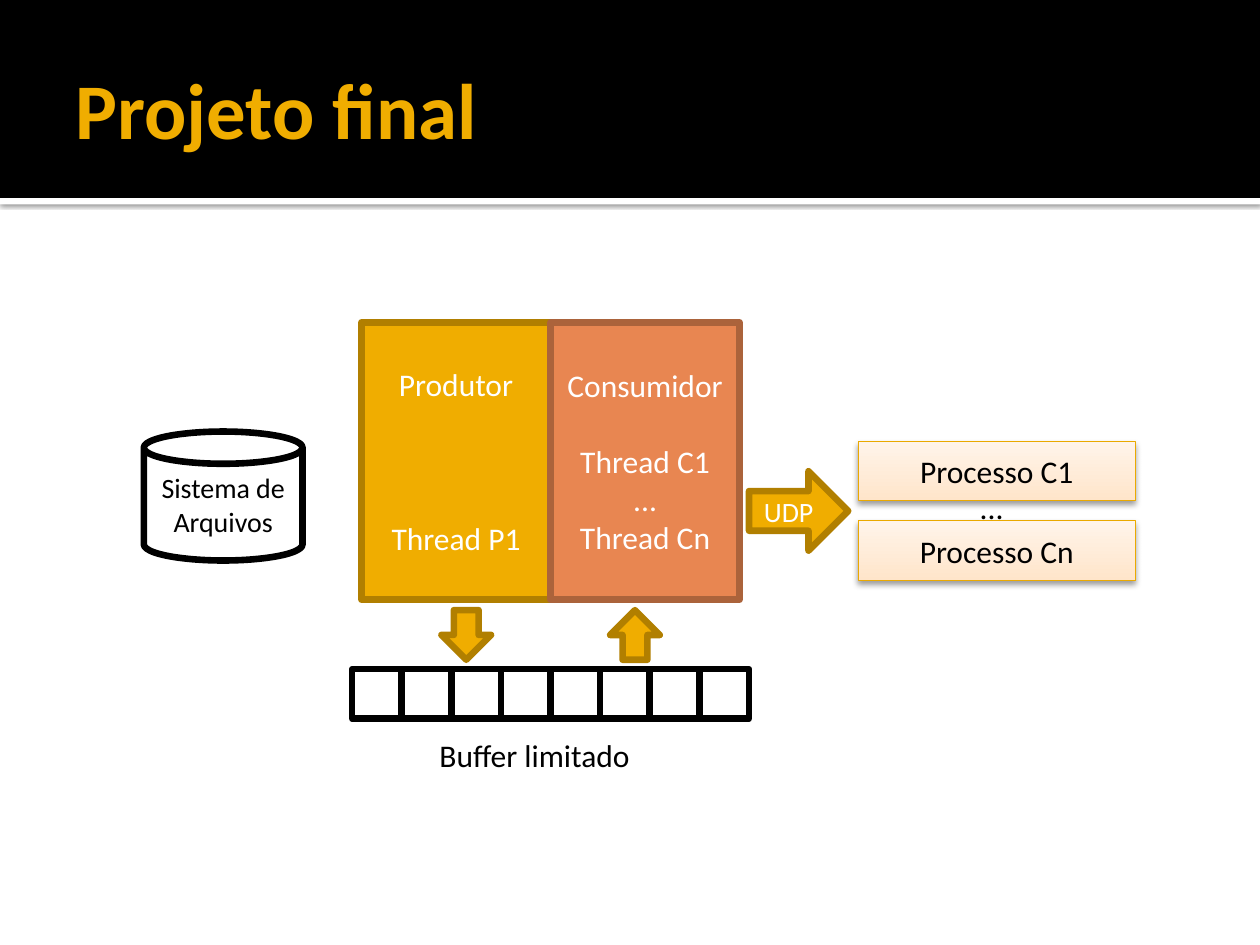
from lxml import etree
from pptx import Presentation
from pptx import util as u
from pptx.dml.color import RGBColor
from pptx.enum import shapes, text
from pptx.oxml.ns import qn

COLOURS = {
    "black": "000000", "white": "FFFFFF",
    "gold": "F0AD00", "gold edge": "B17F00",
    "orange": "E88651", "orange edge": "AB633B",
    "cream dark": "FFE5CA", "cream light": "FFF4EA", "cream edge": "EAA900",
}
KIND = shapes.MSO_SHAPE
ALIGN = text.PP_ALIGN
LINE_HEIGHT = 22  # points, one line of 18 pt text


def colour(name):
    return RGBColor.from_string(COLOURS[name])


class Diagram:
    font = "Calibri"
    edge = 3.77

    def __init__(self, deck):
        self.page = deck.slides.add_slide(deck.slide_layouts[5])

    def set_text(self, item, lines, size, ink, align, bold=False):
        """Fill item with lines, each a (wording, points of space before) pair."""
        frame = item.text_frame
        frame.margin_left = frame.margin_right = u.Cm(0.25)
        frame.margin_top = frame.margin_bottom = u.Cm(0.13)
        for number, (wording, gap) in enumerate(lines):
            para = frame.add_paragraph() if number else frame.paragraphs[0]
            para.text = wording
            para.alignment = align
            if gap:
                para.space_before = u.Pt(gap)
            para.font.name = self.font
            para.font.size = u.Pt(size)
            para.font.bold = bold
            para.font.color.rgb = colour(ink)
        return frame

    def title(self, wording, left, top, width, height):
        item = self.page.shapes.title
        item.left, item.top = u.Cm(left), u.Cm(top)
        item.width, item.height = u.Cm(width), u.Cm(height)
        frame = self.set_text(item, [(wording, 0)], 45, "gold", ALIGN.LEFT, bold=True)
        frame.margin_right = u.Cm(0.13)
        frame.vertical_anchor = text.MSO_ANCHOR.MIDDLE
        return item

    def shape(self, kind, left, top, width, height, fill, line=None,
              lines=(), size=18, ink="white"):
        item = self.page.shapes.add_shape(
            kind, u.Cm(left), u.Cm(top), u.Cm(width), u.Cm(height))
        item.shadow.inherit = False
        item.fill.solid()
        item.fill.fore_color.rgb = colour(fill)
        if line:
            item.line.color.rgb = colour(line)
            item.line.width = u.Pt(self.edge)
        else:
            item.line.fill.background()
        if lines:
            frame = self.set_text(item, lines, size, ink, ALIGN.CENTER)
            frame.word_wrap = True
            frame.vertical_anchor = text.MSO_ANCHOR.MIDDLE
        return item

    def process(self, wording, left, top, width, height):
        item = self.shape(KIND.RECTANGLE, left, top, width, height, "cream light",
                          "cream edge", [(wording, 0)], ink="black")
        item.line.width = u.Pt(0.5)
        item.fill.gradient()
        item.fill.gradient_angle = 90
        for stop, name in zip(item.fill.gradient_stops, ("cream dark", "cream light")):
            stop.color.rgb = colour(name)
        self.drop_shadow(item, 38, 3.5, 2)

    def drop_shadow(self, item, opacity, blur, distance):
        """Add a black shadow below item; blur and distance are in points."""
        effects = item.element.spPr.find(qn("a:effectLst"))
        shadow = etree.SubElement(
            effects, qn("a:outerShdw"), blurRad=str(u.Pt(blur)),
            dist=str(u.Pt(distance)), dir="5400000", rotWithShape="0")
        shade = etree.SubElement(shadow, qn("a:srgbClr"), val=COLOURS["black"])
        etree.SubElement(shade, qn("a:alpha"), val=str(opacity * 1000))

    def label(self, wording, left, top, width, height):
        item = self.page.shapes.add_textbox(
            u.Cm(left), u.Cm(top), u.Cm(width), u.Cm(height))
        frame = self.set_text(item, [(wording, 0)], 18, "black", ALIGN.LEFT)
        frame.word_wrap = False
        frame.auto_size = text.MSO_AUTO_SIZE.SHAPE_TO_FIT_TEXT


def main():
    deck = Presentation()
    deck.slide_width, deck.slide_height = u.Cm(25.4), u.Cm(19.05)
    diagram = Diagram(deck)

    rule = diagram.shape(KIND.RECTANGLE, 0, 3.99, 25.4, 0.13, "white")
    diagram.drop_shadow(rule, 60, 2.5, 0.8)
    banner = diagram.shape(KIND.RECTANGLE, 0, 0, 25.4, 3.99, "black")
    title = diagram.title("Projeto final", 1.27, 0.43, 22.86, 3.48)
    banner.element.addnext(title.element)  # the title lies in front of the banner

    producer = [("Produtor", 0), ("Thread P1", 3 * LINE_HEIGHT)]
    consumer = [("Consumidor", 0), ("Thread C1", LINE_HEIGHT), ("...", 0), ("Thread Cn", 0)]
    for left, fill, lines in ((7.29, "gold", producer), (11.1, "orange", consumer)):
        diagram.shape(KIND.RECTANGLE, left, 6.5, 3.81, 5.59, fill, fill + " edge", lines)

    for slot in range(8):
        diagram.shape(KIND.RECTANGLE, 7.1 + slot, 13.49, 1, 1, "white", "black")

    for wording, top in (("Processo C1", 8.9), ("Processo Cn", 10.5)):
        diagram.process(wording, 17.3, top, 5.59, 1.2)

    for left, turn in ((8.9, 0), (12.3, 180)):
        arrow = diagram.shape(KIND.DOWN_ARROW, left, 12.3, 1, 1, "gold", "gold edge")
        arrow.rotation = turn
    diagram.shape(KIND.RIGHT_ARROW, 15.1, 9.5, 2, 1.6, "gold", "gold edge",
                  [("UDP", 0)], size=16)
    diagram.label("...", 19.5, 9.7, 1.02, 1.02)
    diagram.shape(KIND.CAN, 2.9, 8.7, 3.2, 2.6, "white", "black",
                  [("Sistema de Arquivos", 0)], size=16, ink="black")
    diagram.label("Buffer limitado", 8.61, 14.7, 4.98, 1.02)

    deck.save("out.pptx")


if __name__ == "__main__":
    main()
